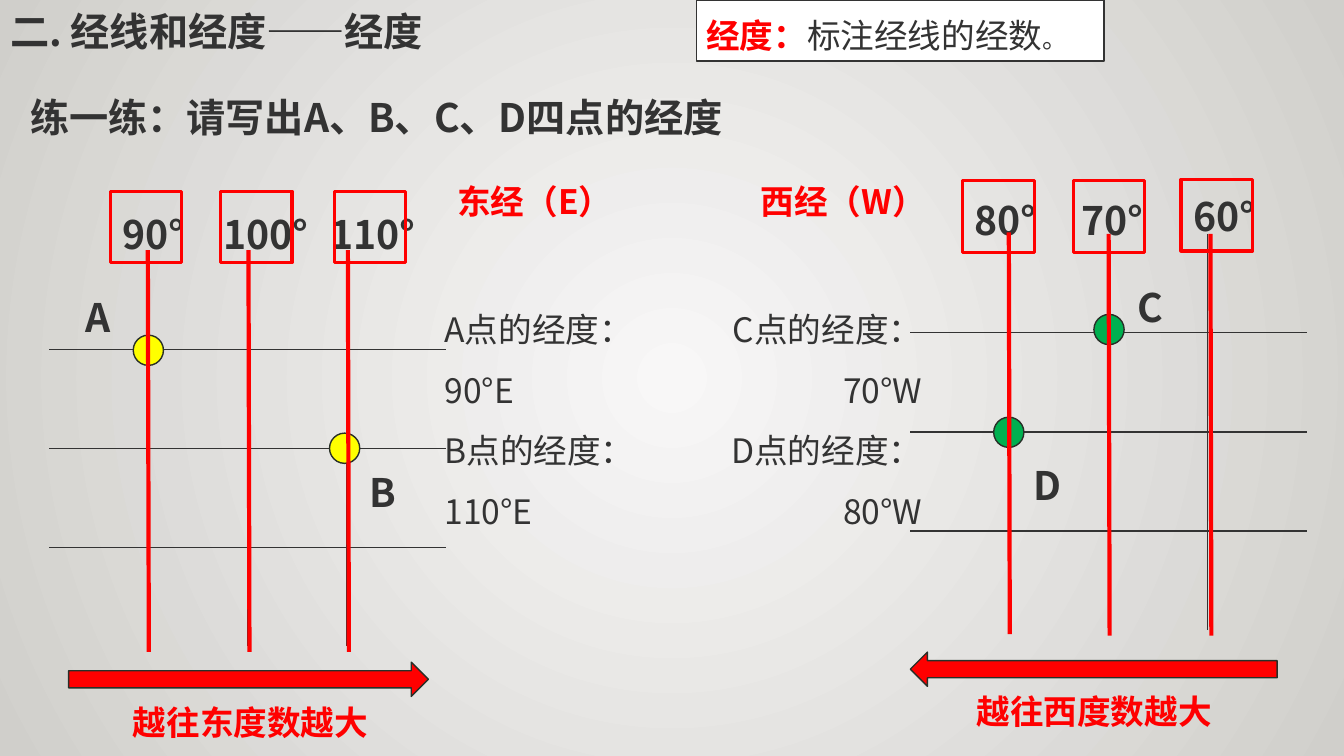
from lxml import etree
from pptx import Presentation
from pptx.dml.color import RGBColor
from pptx.enum.shapes import MSO_CONNECTOR, MSO_SHAPE
from pptx.enum.text import MSO_ANCHOR, MSO_AUTO_SIZE, PP_ALIGN
from pptx.oxml.ns import qn
from pptx.util import Pt

FONT = "Noto Sans CJK SC"
DARK = RGBColor(0x33, 0x33, 0x33)
OUTLINE = RGBColor(0x28, 0x2F, 0x28)
RED = RGBColor(0xFF, 0x00, 0x00)
YELLOW = RGBColor(0xFF, 0xFF, 0x00)
GREEN = RGBColor(0x00, 0xB0, 0x50)
WHITE = RGBColor(0xFF, 0xFF, 0xFF)
GLOW = RGBColor(0xF8, 0xF7, 0xF7)
EDGE = RGBColor(0xD0, 0xCF, 0xCB)
CELL = 70.8
NO_GRID_STYLE = "{2D5ABB26-0587-4C30-8999-92F81FD0307C}"

deck = Presentation()
deck.slide_width, deck.slide_height = Pt(960), Pt(540)
page = deck.slides.add_slide(deck.slide_layouts[3])


def write(box, place, text, size=28, color=DARK, bold=True, align=PP_ALIGN.LEFT, spacing=1.0):
    """Place a box (left, top, width, height) and format its text."""
    box.left, box.top, box.width, box.height = map(Pt, place)
    frame = box.text_frame
    frame.text = text
    frame.word_wrap = True
    frame.auto_size = MSO_AUTO_SIZE.NONE
    frame.vertical_anchor = MSO_ANCHOR.TOP
    for para in frame.paragraphs:
        para.alignment, para.line_spacing, para.space_before = align, spacing, Pt(0)
        for span in para.runs:
            span.font.size, span.font.bold, span.font.name = Pt(size), bold, FONT
            span.font.color.rgb = color
            east_asian = etree.SubElement(span.font._element, qn("a:ea"))
            east_asian.set("typeface", FONT)


def draw(kind, place, fill, line, width):
    shape = page.shapes.add_shape(kind, *map(Pt, place))
    shape.shadow.inherit = False
    if fill is None:
        shape.fill.background()
    else:
        shape.fill.solid()
        shape.fill.fore_color.rgb = fill
    shape.line.color.rgb = line
    shape.line.width = Pt(width)
    return shape


# Background: circular gradient from the centre
backdrop = page.background.fill
backdrop.gradient()
for stop, color, position in zip(backdrop.gradient_stops, (GLOW, EDGE), (0, 1)):
    stop.color.rgb = color
    stop.position = position
gradient = page.element.find(".//" + qn("a:gradFill"))
linear = gradient.find(qn("a:lin"))
circle = etree.Element(qn("a:path"), {"path": "circle"})
etree.SubElement(circle, qn("a:fillToRect"), dict.fromkeys("ltrb", "50000"))
gradient.replace(linear, circle)

# Heading, definition and task
write(page.shapes.title, (0, 1.4, 406, 41), "二. 经线和经度——经度")

definition = draw(MSO_SHAPE.RECTANGLE, (497.5, 0, 291, 43.5), WHITE, DARK, 1)
write(definition, (497.5, 0, 291, 43.5), "经度：", 24, RED, spacing=1.25)
for text, size in (("标注经线的经数", 24), ("。", 18)):
    span = definition.text_frame.paragraphs[0].add_run()
    span.text = text
    span.font.size, span.font.bold = Pt(size), False
    span.font.color.rgb = DARK
for span in definition.text_frame.paragraphs[0].runs:
    span.font.name = "Arial"

task = page.shapes.add_textbox(0, 0, 0, 0)
write(task, (14.4, 63.4, 689, 41), "练一练：请写出A、B、C、D四点的经度")

# Answers
answers = [
    (1, (310.3, 203, 161.3, 181.5), "A点的经度：90°E\nB点的经度：110°E", PP_ALIGN.LEFT),
    (2, (494, 203, 172, 181.5), "C点的经度：70°W\nD点的经度：80°W", PP_ALIGN.RIGHT),
]
for index, place, text, align in answers:
    body = page.placeholders[index]
    write(body, place, text, 24, bold=False, align=align, spacing=1.5)
    for para in body.text_frame.paragraphs:
        properties = para._p.get_or_add_pPr()
        properties.set("marL", "0")
        properties.set("indent", "0")
        etree.SubElement(properties, qn("a:buNone"))

# Grids of parallels and meridians, ruled on the inside only
for left, top in ((35.3, 178.6), (650.2, 167)):
    frame = page.shapes.add_table(4, 4, Pt(left), Pt(top), Pt(4 * CELL), Pt(4 * CELL))
    grid = frame.table
    grid.first_row = grid.horz_banding = False
    grid._tbl.tblPr.find(qn("a:tableStyleId")).text = NO_GRID_STYLE
    for row in range(4):
        for column in range(4):
            cell = grid.cell(row, column)
            properties = cell._tc.get_or_add_tcPr()
            sides = {"lnL": column > 0, "lnR": column < 3, "lnT": row > 0, "lnB": row < 3}
            for side, ruled in sides.items():
                border = etree.SubElement(properties, qn("a:" + side), {"w": "12700"})
                if ruled:
                    paint = etree.SubElement(border, qn("a:solidFill"))
                    etree.SubElement(paint, qn("a:srgbClr"), {"val": str(DARK)})
                else:
                    etree.SubElement(border, qn("a:noFill"))
            cell.fill.background()

# Points: circle place, colour, letter place
points = [
    ("A", 95.2, 239.4, YELLOW, 54, 206),
    ("B", 235.4, 309.4, YELLOW, 257, 331),
    ("C", 781.4, 224.6, GREEN, 805.7, 198.7),
    ("D", 709.8, 298, GREEN, 731.5, 326.2),
]
for letter, left, top, color, label_left, label_top in points:
    draw(MSO_SHAPE.OVAL, (left, top, 21.6, 21.6), color, OUTLINE, 1)
    label = page.shapes.add_textbox(0, 0, 0, 0)
    write(label, (label_left, label_top, 41, 41), letter)

# Meridians: label place and width, frame place, line start
meridians = [
    ("90°", 80.6, 146.9, 76.3, 78.8, 136.5, 105.6, 178.6),
    ("100°", 152.6, 146.9, 88.6, 157.5, 136.5, 177.5, 178.6),
    ("110°", 229, 146.9, 107.3, 238.8, 136.5, 248.5, 178.6),
    ("80°", 689, 136.8, 76.3, 687.8, 129, 720.6, 166),
    ("70°", 765.4, 136.8, 77.8, 766.6, 129, 791.9, 167),
    ("60°", 845.3, 133.9, 77.8, 843.6, 128.2, 864.6, 167),
]
for text, left, top, width, frame_left, frame_top, line_x, line_y in meridians:
    label = page.shapes.add_textbox(0, 0, 0, 0)
    write(label, (left, top, width, 41), text)
    draw(MSO_SHAPE.RECTANGLE, (frame_left, frame_top, 51.1, 51.1), None, RED, 2.25)
    meridian = page.shapes.add_connector(
        MSO_CONNECTOR.STRAIGHT, Pt(line_x), Pt(line_y), Pt(line_x + 0.7), Pt(line_y + 287)
    )
    meridian.line.color.rgb = RED
    meridian.line.width = Pt(3)
    etree.SubElement(meridian._element.spPr, qn("a:effectLst"))

# Direction arrows and red captions
draw(MSO_SHAPE.RIGHT_ARROW, (49, 473, 257, 24.5), RED, OUTLINE, 1)
draw(MSO_SHAPE.LEFT_ARROW, (650.2, 465.8, 262, 24.5), RED, OUTLINE, 1)
captions = [
    ("东经（E）", 310.3, 126, 143.3),
    ("西经（W）", 530.6, 126, 143.3),
    ("越往东度数越大", 52.6, 498.2, 252.7),
    ("越往西度数越大", 655.2, 490.3, 252.7),
]
for text, left, top, width in captions:
    caption = page.shapes.add_textbox(0, 0, 0, 0)
    write(caption, (left, top, width, 36), text, 24, RED, align=PP_ALIGN.CENTER)

deck.save("out.pptx")
